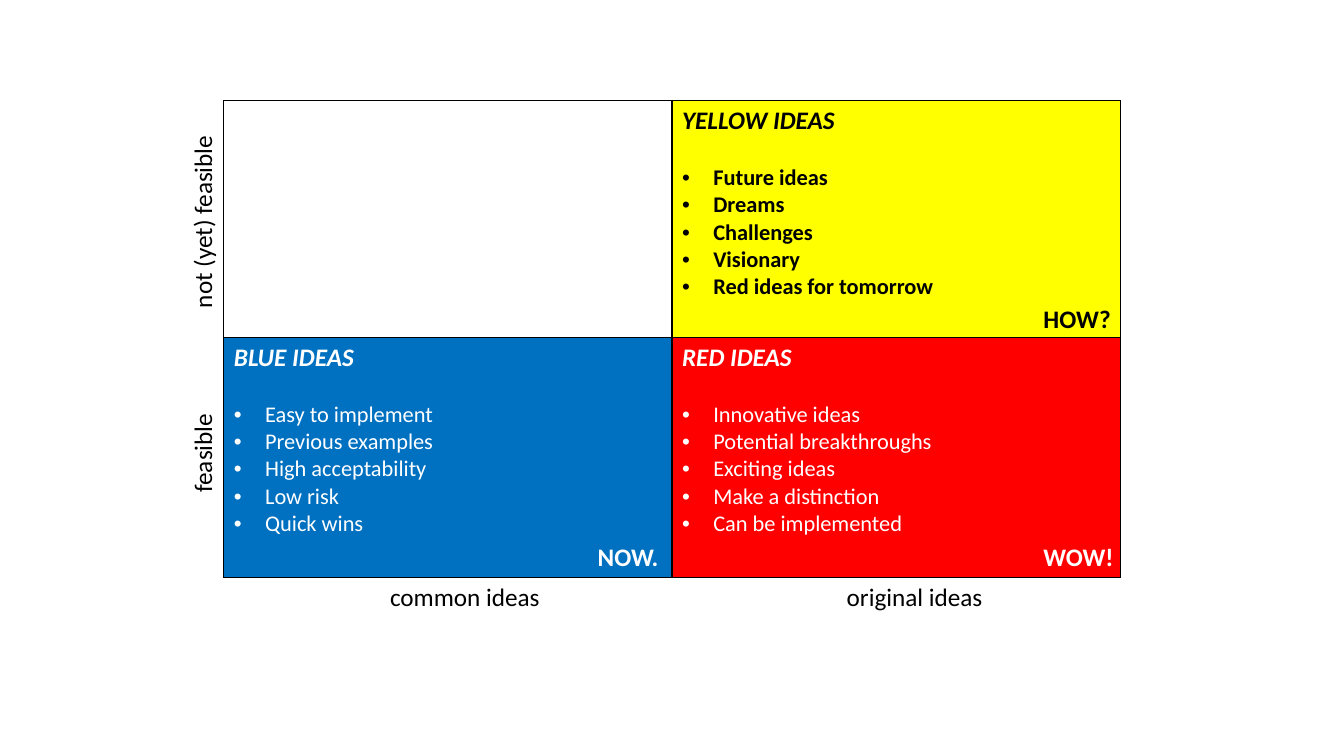
import dataclasses

import pptx
import pptx.dml.color
import pptx.enum.text
import pptx.oxml
import pptx.oxml.ns
import pptx.util

Inches = pptx.util.Inches
Pt = pptx.util.Pt


@dataclasses.dataclass(frozen=True)
class Theme:
    font: str = "Calibri"
    black: str = "000000"
    white: str = "FFFFFF"
    yellow: str = "FFFF00"
    blue: str = "0070C0"
    red: str = "FF0000"
    heading_size: int = 18
    bullet_size: int = 16
    heading_gap: float = 19.5
    border_width: int = 1


THEME = Theme()

# Quadrants, row by row: heading, bullets, fill, text colour, bold bullets
QUADRANTS = [
    [
        ("", [], THEME.white, THEME.black, False),
        ("YELLOW IDEAS",
         ["Future ideas", "Dreams", "Challenges", "Visionary", "Red ideas for tomorrow"],
         THEME.yellow, THEME.black, True),
    ],
    [
        ("BLUE IDEAS",
         ["Easy to implement", "Previous examples", "High acceptability", "Low risk",
          "Quick wins"],
         THEME.blue, THEME.white, False),
        ("RED IDEAS",
         ["Innovative ideas", "Potential breakthroughs", "Exciting ideas",
          "Make a distinction", "Can be implemented"],
         THEME.red, THEME.white, False),
    ],
]

# Labels: text, left, top, width, colour, bold, rotation
LABELS = [
    ("HOW?", 10.25, 2.96, 0.88, THEME.black, True, 0),
    ("WOW!", 10.25, 5.32, 0.91, THEME.white, True, 0),
    ("NOW.", 5.83, 5.32, 0.81, THEME.white, True, 0),
    ("not (yet) feasible", 1.04, 1.99, 1.93, THEME.black, False, 270),
    ("feasible", 1.51, 4.29, 0.99, THEME.black, False, 270),
    ("common ideas", 3.77, 5.72, 1.7, THEME.black, False, 0),
    ("original ideas", 8.3, 5.72, 1.56, THEME.black, False, 0),
]


def rgb(value):
    return pptx.dml.color.RGBColor.from_string(value)


def add_span(para, text, color, **formats):
    span = para.add_run()
    span.text = text
    span.font.color.rgb = rgb(color)
    settings = {"name": THEME.font, "size": Pt(THEME.heading_size), **formats}
    for name, value in settings.items():
        setattr(span.font, name, value)


def add_bullet(para):
    properties = para._p.get_or_add_pPr()
    properties.set("marL", str(Inches(0.31)))
    properties.set("indent", str(-Inches(0.31)))
    namespace = pptx.oxml.ns.nsdecls("a")
    for markup in (f'<a:buFont {namespace} typeface="Arial"/>',
                   f'<a:buChar {namespace} char="•"/>'):
        properties.append(pptx.oxml.parse_xml(markup))


def add_borders(cell):
    properties = cell._tc.get_or_add_tcPr()
    for side in ("lnL", "lnR", "lnT", "lnB"):
        properties.append(pptx.oxml.parse_xml(
            f'<a:{side} {pptx.oxml.ns.nsdecls("a")} w="{Pt(THEME.border_width)}">'
            f'<a:solidFill><a:srgbClr val="{THEME.black}"/></a:solidFill></a:{side}>'))


def fill_quadrant(cell, heading, bullets, fill, color, bold):
    add_borders(cell)
    cell.fill.solid()
    cell.fill.fore_color.rgb = rgb(fill)
    if not heading:
        return
    para = cell.text_frame.paragraphs[0]
    para.space_after = Pt(THEME.heading_gap)
    add_span(para, heading, color, bold=True, italic=True)
    for text in bullets:
        para = cell.text_frame.add_paragraph()
        add_bullet(para)
        add_span(para, text, color, size=Pt(THEME.bullet_size), bold=bold, italic=False)


def add_matrix(page):
    frame = page.shapes.add_table(2, 2, Inches(2.22), Inches(1), Inches(8.89), Inches(4.73))
    table = frame.table
    for option in ("first_row", "horz_banding"):
        setattr(table, option, False)
    for row, height in zip(table.rows, (2.35, 2.38)):
        row.height = Inches(height)
    for row_index, row in enumerate(QUADRANTS):
        for column_index, quadrant in enumerate(row):
            fill_quadrant(table.cell(row_index, column_index), *quadrant)


def add_label(page, text, left, top, width, color, bold, rotation):
    box = page.shapes.add_textbox(Inches(left), Inches(top), Inches(width), Inches(0.4))
    box.rotation = rotation
    settings = {"word_wrap": False,
                "auto_size": pptx.enum.text.MSO_AUTO_SIZE.SHAPE_TO_FIT_TEXT}
    for name, value in settings.items():
        setattr(box.text_frame, name, value)
    add_span(box.text_frame.paragraphs[0], text, color, bold=bold)


def main():
    deck = pptx.Presentation()
    deck.slide_width = Inches(13.33)
    deck.slide_height = Inches(7.5)
    # The slide has no title, so it uses the blank layout
    page = deck.slides.add_slide(deck.slide_layouts[6])
    add_matrix(page)
    for label in LABELS:
        add_label(page, *label)
    deck.save("out.pptx")


if __name__ == "__main__":
    main()
